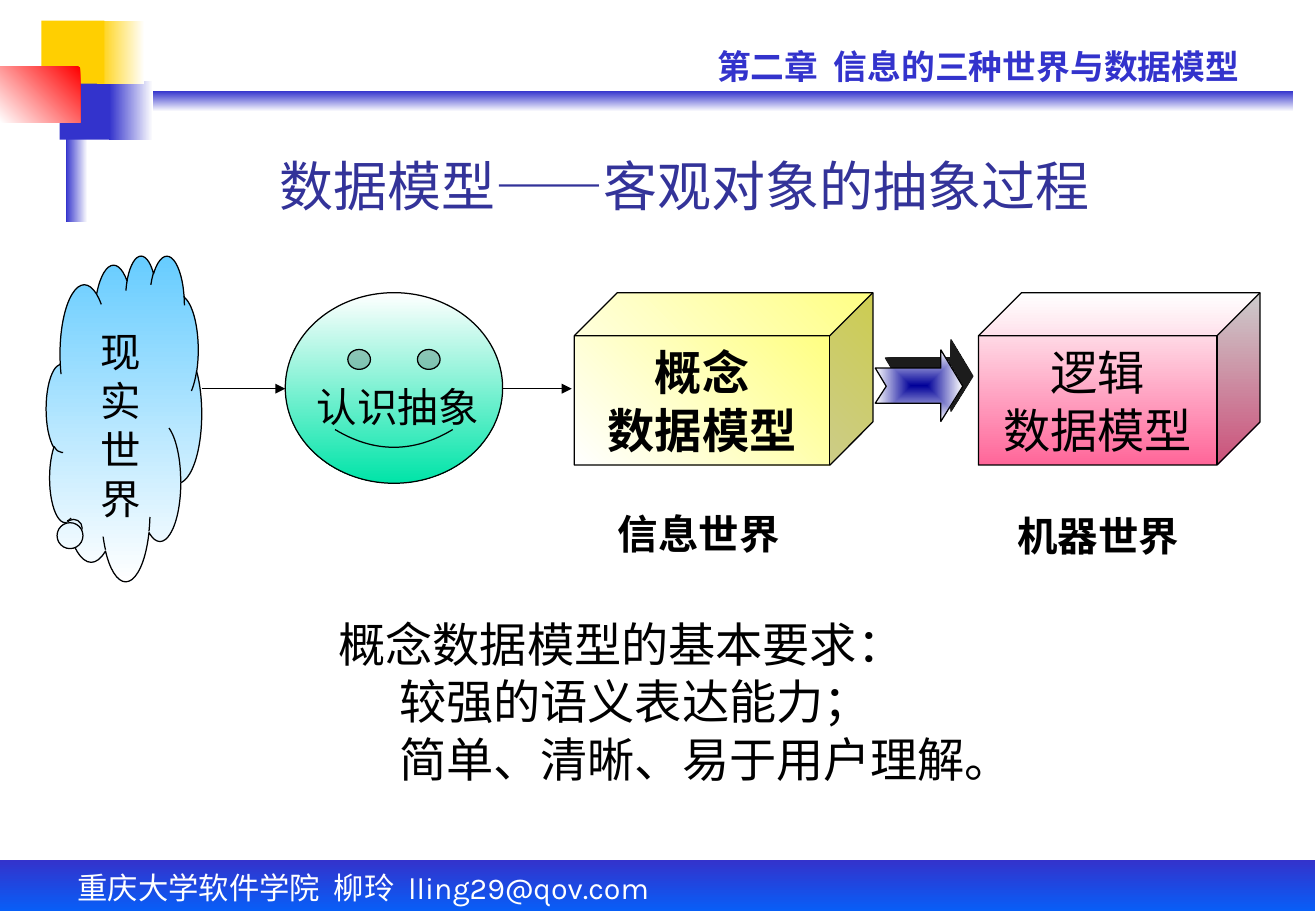
from lxml import etree
from pptx import Presentation
from pptx.dml.color import RGBColor
from pptx.enum.shapes import MSO_CONNECTOR, MSO_SHAPE as Preset
from pptx.enum.text import MSO_ANCHOR as Anchor, PP_ALIGN as Align
from pptx.oxml import parse_xml
from pptx.oxml.ns import nsdecls, qn
from pptx.util import Pt

COLORS = {
    "black": "000000", "white": "FFFFFF", "blue": "3333CC", "bright blue": "0066FF",
    "title": "333399", "gold": "FFCF01", "red": "FF0000", "yellow": "FFFF66",
    "pink": "FF6699", "sky": "66CCFF", "green": "00E4A8", "navy": "000099",
    "shadow": "1C1C1C",
}


def rgb(name):
    return RGBColor.from_string(COLORS[name])


def add_filled(preset, box, start, end=None, clockwise=0, outlined=False):
    """Add a shape with a solid fill, or a gradient from start to end."""
    shape = shapes.add_shape(preset, *map(Pt, box))
    shape.shadow.inherit = False
    if end:
        shape.fill.gradient()
        for stop, position, color in zip(shape.fill.gradient_stops, (0, 1), (start, end)):
            stop.position = position
            stop.color.rgb = rgb(color)
        shape.fill.gradient_angle = 360 - clockwise
    else:
        shape.fill.solid()
        shape.fill.fore_color.rgb = rgb(start)
    if outlined:
        shape.line.color.rgb = rgb("black")
        shape.line.width = Pt(0.75)
    else:
        shape.line.fill.background()
    return shape


prs = Presentation()
prs.slide_width, prs.slide_height = Pt(780.48), Pt(540)
slide = prs.slides.add_slide(prs.slide_layouts[6])
shapes = slide.shapes

# Header and footer decoration
for box, *fill in [
    ((45.4, 54, 721.4, 12.2), "blue", "white", 90),
    ((64.8, 48.2, 25.9, 34.6), "white", "blue", 180),
    ((0, 509.8, 780, 36), "blue", "bright blue", 90),
    ((38.9, 41.8, 13, 90), "white", "blue", 180),
    ((35.3, 48.2, 29.5, 34.6), "blue"),
    ((57.6, 12.2, 28.1, 37.4), "white", "gold", 180),
    ((24.5, 12.2, 37.4, 37.4), "gold"),
    ((0, 39.6, 47.5, 33.1), "red", "white", 135),
]:
    add_filled(Preset.RECTANGLE, box, *fill)

# The worlds and the steps between them
concept = add_filled(Preset.CUBE, (340.6, 173.5, 177.1, 102.2), "yellow", "white", 135, True)
logic = add_filled(Preset.CUBE, (580.3, 173.5, 167, 102.2), "white", "pink", 90, True)
reality = add_filled(Preset.CLOUD_CALLOUT, (27.4, 151.2, 92.2, 193), "sky", "white", 90, True)
reality.adjustments[0], reality.adjustments[1] = -0.325, 0.339
add_filled(Preset.SMILEY_FACE, (169.2, 173.5, 128.9, 113), "white", "green", 90, True)

for left, right in [(119.6, 169.2), (298.1, 339.1)]:
    link = shapes.add_connector(MSO_CONNECTOR.STRAIGHT, Pt(left), Pt(230.4), Pt(right), Pt(230.4))
    link.line.color.rgb = rgb("black")
    link.line.width = Pt(0.75)
    etree.SubElement(link.line._get_or_add_ln(), qn("a:tailEnd"), type="triangle")
    etree.SubElement(link._element.spPr, qn("a:effectLst"))

outline = [(519.1, 218.2), (558, 218.2), (558, 207.4), (571, 229),
           (558, 249.8), (558, 239), (519.1, 239), (525.6, 229)]
corners = [(Pt(x), Pt(y)) for x, y in outline]
builder = shapes.build_freeform(*corners[0])
builder.add_line_segments(corners[1:], close=True)
conversion = builder.convert_to_shape()
conversion.line.color.rgb = rgb("black")
conversion.line.width = Pt(0.75)
conversion_props = conversion._element.spPr
conversion_props.find(qn("a:ln")).addprevious(parse_xml(
    f'<a:gradFill {nsdecls("a")} rotWithShape="1"><a:gsLst>'
    f'<a:gs pos="0"><a:srgbClr val="{COLORS["navy"]}"/></a:gs>'
    f'<a:gs pos="100000"><a:srgbClr val="{COLORS["white"]}"/></a:gs></a:gsLst>'
    '<a:path path="rect"><a:fillToRect l="50000" t="50000" r="50000" b="50000"/></a:path>'
    '</a:gradFill>'))
conversion_props.append(parse_xml(
    f'<a:effectLst {nsdecls("a")}><a:outerShdw dist="{Pt(8.5)}" dir="18900000" algn="ctr" '
    f'rotWithShape="0"><a:srgbClr val="{COLORS["shadow"]}"/></a:outerShdw></a:effectLst>'))

# Wording: place (a shape or a box), lines, size, font, color, bold, centred, anchor
for place, lines, size, font, color, bold, centred, anchor in [
    ((38.9, 511.2, 435.6, 28.8), ["重庆大学软件学院  柳玲  lling29@qov.com"],
     18, "Karla", "white", False, False, Anchor.TOP),
    ((418.3, 23.8, 348.5, 31.7), ["第二章  信息的三种世界与数据模型"],
     20, "Karla", "blue", True, False, Anchor.TOP),
    ((97.2, 84.2, 617.8, 48.2), ["数据模型——客观对象的抽象过程"],
     32, "Karla", "title", False, True, Anchor.BOTTOM),
    (concept, ["概念", "数据模型"], 28, "Arial", "black", True, True, Anchor.MIDDLE),
    (logic, ["逻辑", "数据模型"], 28, "Arial", "black", False, True, Anchor.MIDDLE),
    ((574.6, 299.5, 153.4, 35.3), ["机器世界"], 24, "Arial", "black", True, True, Anchor.MIDDLE),
    ((359.3, 298.1, 153.4, 36), ["信息世界"], 24, "Arial", "black", True, False, Anchor.TOP),
    ((193.7, 360.7, 465.1, 108),
     ["概念数据模型的基本要求：", "较强的语义表达能力；", "简单、清晰、易于用户理解。"],
     28, "Noto Sans CJK KR", "black", False, False, Anchor.TOP),
    ((52.6, 190.1, 43.2, 122.4), ["现实世界"],
     24, "Times New Roman", "black", False, False, Anchor.TOP),
    ((180.7, 222.5, 123.1, 36), ["认识抽象"],
     24, "Times New Roman", "black", False, False, Anchor.TOP),
]:
    in_cube = place in (concept, logic)
    frame = (place if in_cube else shapes.add_textbox(*map(Pt, place))).text_frame
    frame.word_wrap = not in_cube
    frame.vertical_anchor = anchor
    frame.text = "\n".join(lines)
    for index, paragraph in enumerate(frame.paragraphs):
        paragraph.alignment = Align.CENTER if centred else Align.LEFT
        paragraph.line_spacing = Pt(round(size * 1.2))
        paragraph.font.name = font
        paragraph.font.size = Pt(size)
        paragraph.font.bold = bold
        paragraph.font.color.rgb = rgb(color)
        if index and not centred:
            paragraph.level = 1
            paragraph._p.get_or_add_pPr().set("marL", str(Pt(36)))

prs.save("out.pptx")
